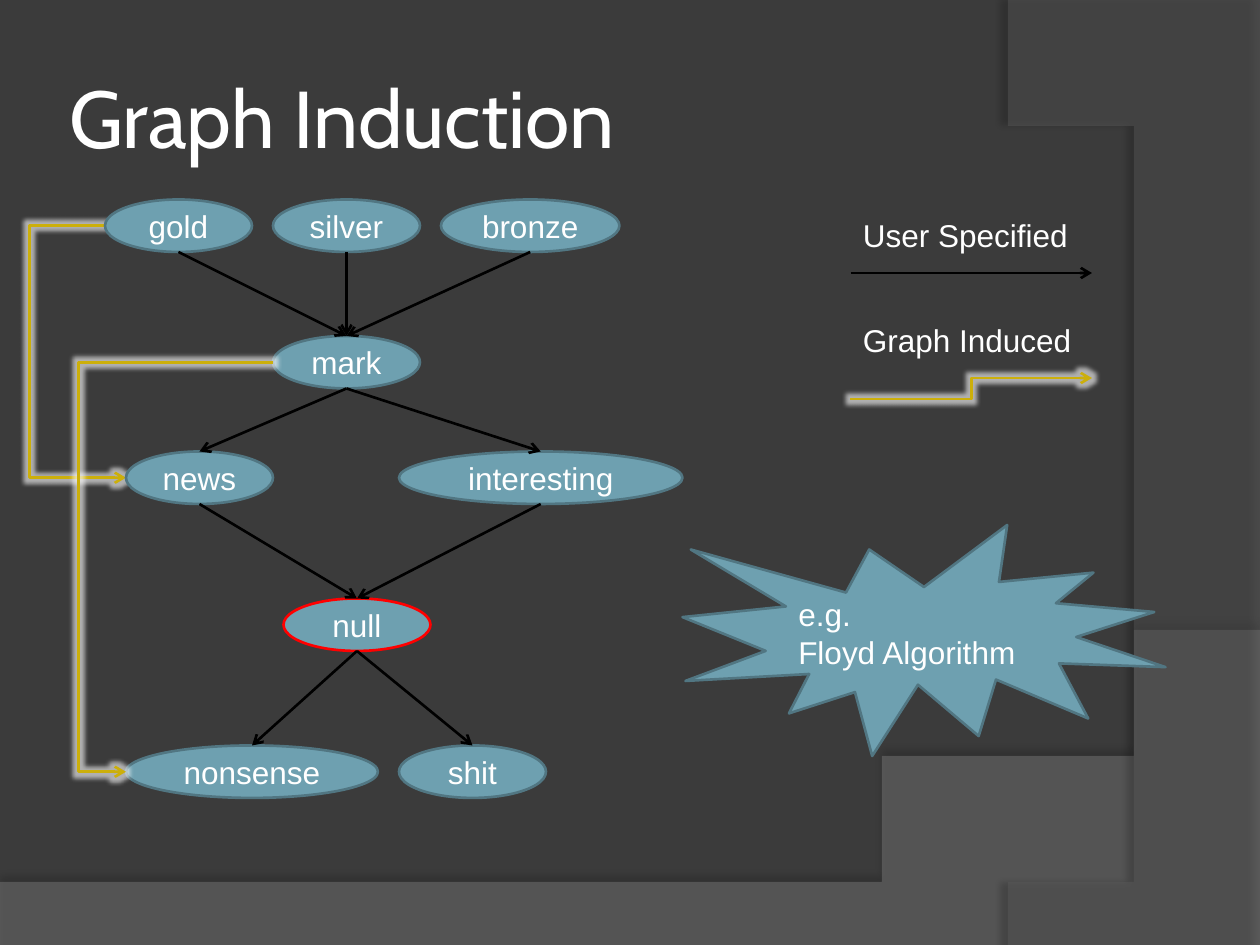
from typing import NamedTuple

from lxml.etree import SubElement
from pptx import Presentation
from pptx.dml.color import RGBColor
from pptx.enum.shapes import MSO_CONNECTOR, MSO_SHAPE
from pptx.enum.text import MSO_ANCHOR, PP_ALIGN
from pptx.oxml.ns import qn
from pptx.util import Inches, Pt

CHARCOAL = RGBColor(0x3B, 0x3B, 0x3B)
WAVE_GREY = RGBColor(0x7F, 0x7F, 0x7F)
ARC_GREY = RGBColor(0x5E, 0x5E, 0x5E)
WHITE = RGBColor(0xFF, 0xFF, 0xFF)
BLACK = RGBColor(0, 0, 0)
TEAL = RGBColor(0x6E, 0xA0, 0xB0)
DARK_TEAL = RGBColor(0x51, 0x76, 0x82)
RED = RGBColor(0xFF, 0, 0)
GOLD = RGBColor(0xCC, 0xAF, 0x0A)

CELLS_PER_INCH = 12  # the whole slide sits on a twelfth-inch grid
NODE_ROWS = 5
TOP, BOTTOM = 0, 4  # connection sites of an ellipse


class Point(NamedTuple):
    col: float
    row: float


class Node(NamedTuple):
    word: str
    col: float
    row: float
    cols: float = 14
    outline: RGBColor = DARK_TEAL

    def side(self, x_share: float, y_share: float) -> Point:
        return Point(self.col + self.cols * x_share, self.row + NODE_ROWS * y_share)


class Backdrop(NamedTuple):
    corners: list[tuple[float, float]]  # inches, ending where the curve starts
    curve: list[tuple[float, float]]  # two control points and the end
    colour: RGBColor
    opacity: int
    shadow_opacity: int
    shadow_distance: float
    shadow_angle: int


NODES = [
    Node("mark", 26, 32),
    Node("gold", 10, 19),
    Node("silver", 26, 19),
    Node("bronze", 42, 19, 17),
    Node("news", 12, 43),
    Node("interesting", 38, 43, 27),
    Node("null", 27, 57, outline=RED),
    Node("nonsense", 12, 71, 24),
    Node("shit", 38, 71),
]
BY_WORD = {node.word: node for node in NODES}
LINKS = [
    ("gold", "mark"), ("silver", "mark"), ("bronze", "mark"),
    ("mark", "news"), ("mark", "interesting"),
    ("news", "null"), ("interesting", "null"),
    ("null", "nonsense"), ("null", "shit"),
]
BACKDROPS = [
    Backdrop([(0, 7.05), (0, 7.5), (10, 7.5), (10, 5.2)],
             [(5.59, 7.29), (3.91, 7.19), (0, 7.05)], WAVE_GREY, 45, 35, 3.5, 270),
    Backdrop([(10, 0.02), (10, 7.5), (8.21, 7.5)],
             [(9.35, 6.19), (10.18, 3), (8, 0)], ARC_GREY, 40, 45, 4, 180),
]


def grid(cells: float) -> int:
    return Inches(cells / CELLS_PER_INCH)


def add_alpha(colour_element, percent: int) -> None:
    SubElement(colour_element, qn("a:alpha"), val=str(percent * 1000))


def add_effect(properties, kind: str, colour: RGBColor, percent: int, **settings: str) -> None:
    effects = properties.find(qn("a:effectLst"))
    if effects is None:
        effects = SubElement(properties, qn("a:effectLst"))
    effect = SubElement(effects, qn(kind), **settings)
    add_alpha(SubElement(effect, qn("a:srgbClr"), val=str(colour)), percent)


def bezier(start, first, second, end, steps: int = 60) -> list[tuple[float, float]]:
    def at(t: float, a: float, b: float, c: float, d: float) -> float:
        u = 1 - t
        return u**3 * a + 3 * u * u * t * b + 3 * u * t * t * c + t**3 * d

    axes = list(zip(start, first, second, end))
    return [tuple(at(i / steps, *axis) for axis in axes) for i in range(1, steps + 1)]


def add_backdrop(slide, backdrop: Backdrop) -> None:
    outline = backdrop.corners + bezier(backdrop.corners[-1], *backdrop.curve)
    builder = slide.shapes.build_freeform(*outline[0], scale=Inches(1))
    builder.add_line_segments(outline[1:], close=True)
    sweep = builder.convert_to_shape()
    sweep.fill.solid()
    sweep.fill.fore_color.rgb = backdrop.colour
    sweep.line.fill.background()
    sweep.shadow.inherit = False
    properties = sweep.element.spPr
    add_alpha(properties.find(qn("a:solidFill"))[0], backdrop.opacity)
    add_effect(properties, "a:outerShdw", BLACK, backdrop.shadow_opacity,
               blurRad=str(Pt(4)), dist=str(Pt(backdrop.shadow_distance)),
               dir=str(backdrop.shadow_angle * 60000), algn="ctr", rotWithShape="0")


def add_run(paragraph, words: str, size: float = 18, font: str = "Arial") -> None:
    run = paragraph.add_run()
    run.text = words
    run.font.size = Pt(size)
    run.font.name = font
    run.font.color.rgb = WHITE


def add_teal_shape(slide, preset, col: float, row: float, cols: float, rows: float,
                   outline: RGBColor, lines: list[str], alignment, wrap: bool):
    shape = slide.shapes.add_shape(preset, grid(col), grid(row), grid(cols), grid(rows))
    shape.shadow.inherit = False
    shape.fill.solid()
    shape.fill.fore_color.rgb = TEAL
    shape.line.color.rgb = outline
    shape.line.width = Pt(1.5)
    frame = shape.text_frame
    frame.word_wrap = wrap
    frame.vertical_anchor = MSO_ANCHOR.MIDDLE
    for index, words in enumerate(lines):
        paragraph = frame.add_paragraph() if index else frame.paragraphs[0]
        paragraph.alignment = alignment
        add_run(paragraph, words)
    return shape


def add_arrow(slide, kind, start: Point, end: Point, colour: RGBColor):
    arrow = slide.shapes.add_connector(kind, *map(grid, (*start, *end)))
    arrow.line.color.rgb = colour
    arrow.line.width = Pt(1.5)
    SubElement(arrow.line._get_or_add_ln(), qn("a:tailEnd"), type="arrow")
    SubElement(arrow.element.spPr, qn("a:effectLst"))
    return arrow


def add_induced_arrow(slide, start: Point, end: Point, bend_col: float) -> None:
    arrow = add_arrow(slide, MSO_CONNECTOR.ELBOW, start, end, GOLD)
    properties = arrow.element.spPr
    bend = round((bend_col - start.col) / (end.col - start.col) * 100000)
    guides = properties.find(qn("a:prstGeom")).get_or_add_avLst()
    SubElement(guides, qn("a:gd"), name="adj1", fmla=f"val {bend}")
    add_effect(properties, "a:glow", WHITE, 60, rad=str(Pt(5)))


def add_link(slide, source: Node, target: Node, drawn: dict) -> None:
    arrow = add_arrow(slide, MSO_CONNECTOR.STRAIGHT, source.side(0.5, 1),
                      target.side(0.5, 0), BLACK)
    joints = arrow.element.nvCxnSpPr.cNvCxnSpPr
    for tag, node, site in (("a:stCxn", source, BOTTOM), ("a:endCxn", target, TOP)):
        SubElement(joints, qn(tag), id=str(drawn[node.word].shape_id), idx=str(site))


def add_legend_label(slide, words: str, row: float) -> None:
    label = slide.shapes.add_textbox(grid(81), grid(row), grid(23), grid(4.8))
    label.text_frame.word_wrap = True
    add_run(label.text_frame.paragraphs[0], words)


def main() -> None:
    deck = Presentation()
    deck.slide_width, deck.slide_height = Inches(10), Inches(7.5)
    slide = deck.slides.add_slide(deck.slide_layouts[5])

    # Background
    slide.background.fill.solid()
    slide.background.fill.fore_color.rgb = CHARCOAL
    for backdrop in BACKDROPS:
        add_backdrop(slide, backdrop)

    # Title
    title = slide.shapes.title
    title.left, title.top, title.width, title.height = map(grid, (6, 3.6, 98, 15))
    heading = title.text_frame
    heading.vertical_anchor = MSO_ANCHOR.MIDDLE
    heading.margin_left = heading.margin_right = Inches(0.05)
    heading.paragraphs[0].alignment = PP_ALIGN.LEFT
    add_run(heading.paragraphs[0], "Graph Induction", 46, "Cabin")

    # Word graph with its specified and induced links
    add_induced_arrow(slide, BY_WORD["gold"].side(0, 0.5), BY_WORD["news"].side(0, 0.5), 2.8)
    drawn = {
        node.word: add_teal_shape(slide, MSO_SHAPE.OVAL, node.col, node.row, node.cols,
                                  NODE_ROWS, node.outline, [node.word], PP_ALIGN.CENTER, False)
        for node in NODES
    }
    for source, target in LINKS:
        add_link(slide, BY_WORD[source], BY_WORD[target], drawn)
    add_induced_arrow(slide, BY_WORD["mark"].side(0, 0.5), BY_WORD["nonsense"].side(0, 0.5), 7.5)

    # Legend
    add_legend_label(slide, "User Specified", 20)
    add_arrow(slide, MSO_CONNECTOR.STRAIGHT, Point(81, 26), Point(104, 26), BLACK)
    add_legend_label(slide, "Graph Induced", 30)
    add_induced_arrow(slide, Point(81, 38), Point(104, 36), 92.5)

    # Algorithm callout
    add_teal_shape(slide, MSO_SHAPE.EXPLOSION1, 65, 50, 46, 22, DARK_TEAL,
                   ["e.g.", "Floyd Algorithm"], PP_ALIGN.LEFT, True)

    deck.save("out.pptx")


if __name__ == "__main__":
    main()
